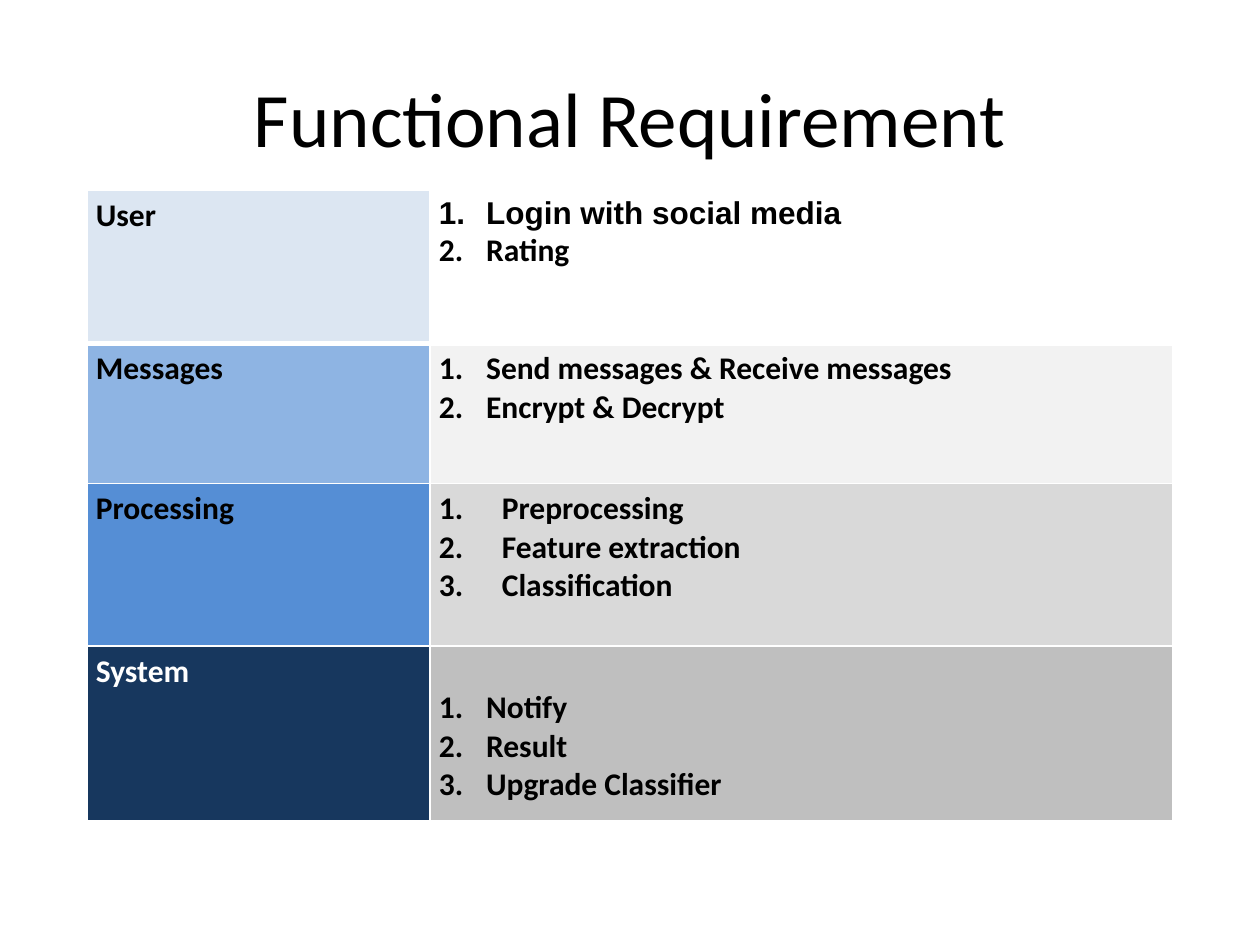
from lxml import etree
from pptx import Presentation
from pptx.dml.color import RGBColor
from pptx.enum.text import MSO_ANCHOR, PP_ALIGN
from pptx.oxml.ns import qn
from pptx.util import Pt

CENTER = PP_ALIGN.CENTER
MIDDLE = MSO_ANCHOR.MIDDLE

BLACK, WHITE = "000000", "FFFFFF"
BODY_FONT = "Calibri"
THIN, THICK = 0.96, 3
SIDE_INSET, TOP_INSET = 5.2, 3.6
COLUMN_WIDTHS = (196, 424.8)

# Each row: heading, heading colour, heading fill, items, items fill,
# row height, item indent, space above the items
REQUIREMENTS = [
    ("User", BLACK, "DCE6F2",
     [("Login with social media", "Arial"), ("Rating", BODY_FONT)],
     "FFFFFF", 87.8, 27, 0),
    ("Messages", BLACK, "8EB4E3",
     [("Send messages & Receive messages", BODY_FONT), ("Encrypt & Decrypt", BODY_FONT)],
     "F2F2F2", 79.9, 27, 0),
    ("Processing", BLACK, "558ED5",
     [("Preprocessing", BODY_FONT), ("Feature extraction", BODY_FONT),
      ("Classification", BODY_FONT)],
     "D9D9D9", 93, 36, 0),
    ("System", WHITE, "17375E",
     [("Notify", BODY_FONT), ("Result", BODY_FONT), ("Upgrade Classifier", BODY_FONT)],
     "BFBFBF", 100, 27, 20.7),
]


def rgb(value):
    return RGBColor.from_string(value)


def write(paragraph, text, size, color, font=BODY_FONT, bold=False):
    paragraph.text = text
    paragraph.font.name = font
    paragraph.font.size = Pt(size)
    paragraph.font.bold = bold
    paragraph.font.color.rgb = rgb(color)


def number(paragraph, indent):
    """Give the paragraph an automatic 1. 2. 3. label with a hanging indent."""
    properties = paragraph._p.get_or_add_pPr()
    properties.set("marL", str(Pt(indent)))
    properties.set("indent", str(-Pt(indent)))
    label = etree.Element(qn("a:buAutoNum"), type="arabicPeriod")
    properties.insert(0, label)


def draw_borders(cell, top, bottom):
    properties = cell._tc.get_or_add_tcPr()
    widths = {"a:lnL": THIN, "a:lnR": THIN, "a:lnT": top, "a:lnB": bottom}
    for position, (side, width) in enumerate(widths.items()):
        line = etree.Element(qn(side), w=str(Pt(width)))
        fill = etree.SubElement(line, qn("a:solidFill"))
        etree.SubElement(fill, qn("a:srgbClr"), val=WHITE)
        properties.insert(position, line)


def style_cell(cell, fill, row_index, space_above=0):
    cell.fill.solid()
    cell.fill.fore_color.rgb = rgb(fill)
    cell.margin_left = cell.margin_right = Pt(SIDE_INSET)
    cell.margin_top = Pt(TOP_INSET + space_above)
    cell.margin_bottom = Pt(TOP_INSET)
    draw_borders(cell, THICK if row_index == 1 else THIN,
                 THICK if row_index == 0 else THIN)


def add_title(slide, left, top, width, height):
    title = slide.shapes.add_textbox(Pt(left), Pt(top), Pt(width), Pt(height)).text_frame
    title.word_wrap = True
    title.vertical_anchor = MIDDLE
    write(title.paragraphs[0], "Functional Requirement", 44, BLACK)
    title.paragraphs[0].alignment = CENTER


def add_requirements(slide, left, top, width, height):
    table = slide.shapes.add_table(len(REQUIREMENTS), len(COLUMN_WIDTHS),
                                   Pt(left), Pt(top), Pt(width), Pt(height)).table
    table.first_row = table.horz_banding = False
    for column, column_width in zip(table.columns, COLUMN_WIDTHS):
        column.width = Pt(column_width)

    for row_index, requirement in enumerate(REQUIREMENTS):
        (heading, heading_color, heading_fill,
         items, items_fill, row_height, indent, space_above) = requirement
        table.rows[row_index].height = Pt(row_height)

        heading_cell = table.cell(row_index, 0)
        style_cell(heading_cell, heading_fill, row_index)
        write(heading_cell.text_frame.paragraphs[0], heading, 18, heading_color, bold=True)

        items_cell = table.cell(row_index, 1)
        style_cell(items_cell, items_fill, row_index, space_above)
        frame = items_cell.text_frame
        for item_index, (item, font) in enumerate(items):
            paragraph = frame.add_paragraph() if item_index else frame.paragraphs[0]
            write(paragraph, item, 18, BLACK, font, bold=True)
            number(paragraph, indent)


def main():
    presentation = Presentation()
    presentation.slide_width = Pt(720)
    presentation.slide_height = Pt(540)
    slide = presentation.slides.add_slide(presentation.slide_layouts[6])
    add_title(slide, 36, 21.6, 648, 90)
    add_requirements(slide, 49.6, 108.6, sum(COLUMN_WIDTHS), 360.7)
    presentation.save("out.pptx")


if __name__ == "__main__":
    main()
